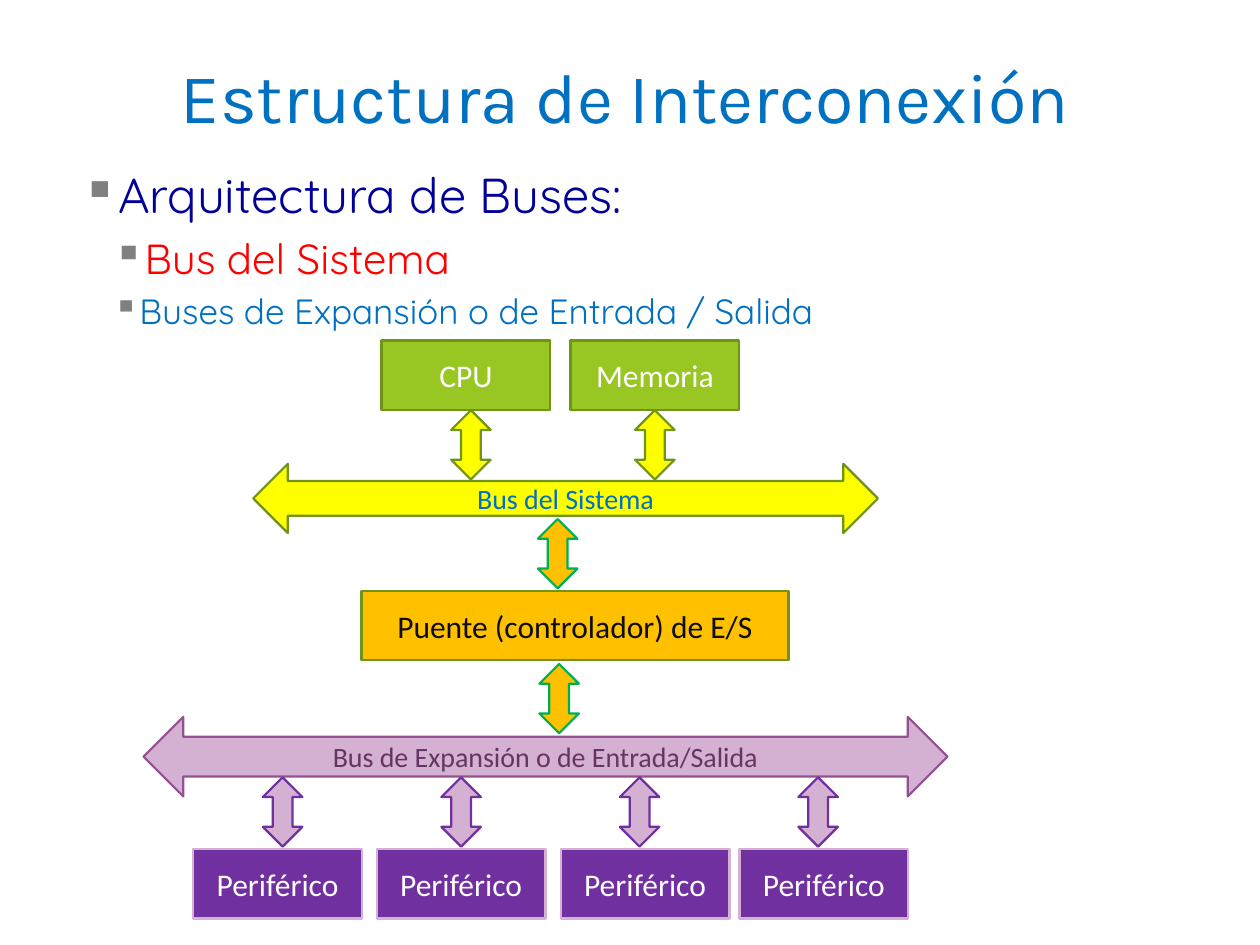
from lxml import etree
from pptx import Presentation
from pptx.dml.color import RGBColor
from pptx.enum.shapes import MSO_SHAPE
from pptx.enum.text import MSO_ANCHOR, PP_ALIGN
from pptx.oxml.ns import qn
from pptx.util import Pt

RECT = MSO_SHAPE.RECTANGLE
BUS = MSO_SHAPE.LEFT_RIGHT_ARROW
LINK = MSO_SHAPE.UP_DOWN_ARROW
CENTER, LEFT = PP_ALIGN.CENTER, PP_ALIGN.LEFT
MIDDLE, TOP = MSO_ANCHOR.MIDDLE, MSO_ANCHOR.TOP

BOX_W, BOX_H = 96.5, 39.6
LINK_W = 22.6
GREEN, DARK_GREEN, YELLOW = "98C723", "70931A", "FFFF00"
ORANGE, LEAF = "FFC000", "00B050"
PURPLE, LILAC, PLUM = "7030A0", "D4B0D2", "945191"
BLUE, WHITE = "0070C0", "FFFFFF"


def rgb(value):
    return RGBColor.from_string(value)


class Deck:
    box_text = {"name": "Calibri", "size": Pt(18)}
    bus_text = {"name": "Calibri", "size": Pt(16)}
    title_text = {"name": "Karla", "size": Pt(40)}
    body_font = "Quicksand"

    def __init__(self, width, height):
        self.prs = Presentation()
        self.prs.slide_width, self.prs.slide_height = Pt(width), Pt(height)
        self.s = self.prs.slides.add_slide(self.prs.slide_layouts[6])

    def add_text(self, p, text, fmt, color, align=CENTER):
        p.alignment = align
        r = p.add_run()
        r.text = text
        for key, value in fmt.items():
            setattr(r.font, key, value)
        r.font.color.rgb = rgb(color)

    def shape(self, kind, x, y, w, h, fill, line):
        sp = self.s.shapes.add_shape(kind, Pt(x), Pt(y), Pt(w), Pt(h))
        sp.shadow.inherit = False
        sp.fill.solid()
        sp.fill.fore_color.rgb = rgb(fill)
        sp.line.color.rgb = rgb(line)
        sp.line.width = Pt(1.25)
        return sp

    def label(self, sp, text, fmt, color):
        tf = sp.text_frame
        tf.vertical_anchor = MIDDLE
        self.add_text(tf.paragraphs[0], text, fmt, color)

    def box(self, text, x, y, fill, line, color, w=BOX_W):
        sp = self.shape(RECT, x, y, w, BOX_H, fill, line)
        self.label(sp, text, self.box_text, color)

    def bus(self, text, x, y, w, h, fill, line, color):
        sp = self.shape(BUS, x, y, w, h, fill, line)
        self.label(sp, text, self.bus_text, color)

    def link(self, x, y, fill, line):
        self.shape(LINK, x, y, LINK_W, BOX_H, fill, line)

    def text_frame(self, x, y, w, h, anchor):
        tf = self.s.shapes.add_textbox(Pt(x), Pt(y), Pt(w), Pt(h)).text_frame
        tf.word_wrap = True
        tf.vertical_anchor = anchor
        return tf

    def title(self, text, x, y, w, h):
        tf = self.text_frame(x, y, w, h, MIDDLE)
        self.add_text(tf.paragraphs[0], text, self.title_text, BLUE)

    def bullets(self, items, x, y, w, h):
        tf = self.text_frame(x, y, w, h, TOP)
        for i, (text, level, size, color) in enumerate(items):
            p = tf.add_paragraph() if i else tf.paragraphs[0]
            fmt = {"name": self.body_font, "size": Pt(size)}
            self.add_text(p, text, fmt, color, LEFT)
            p.level = level
            p.space_before = Pt(size * 0.2)
            pPr = p._p.get_or_add_pPr()
            pPr.set("marL", str(Pt(14.4 + 18 * level)))
            pPr.set("indent", str(-Pt(14.4)))
            clr = etree.SubElement(pPr, qn("a:buClr"))
            etree.SubElement(clr, qn("a:srgbClr"), val="808080")
            etree.SubElement(pPr, qn("a:buChar"), char="▪")


def main():
    deck = Deck(720, 540)
    deck.title("Estructura de Interconexión", 31, 15, 652, 79)
    deck.bullets([
        ("Arquitectura de Buses:", 0, 28, "000099"),
        ("Bus del Sistema", 1, 24, "FF0000"),
        ("Buses de Expansión o de Entrada / Salida", 1, 20, BLUE),
    ], 39.6, 90.7, 647, 116.6)

    for text, x, link_x in (("CPU", 218, 257.8), ("Memoria", 326, 362.9)):
        deck.box(text, x, 194.6, GREEN, DARK_GREEN, WHITE)
        deck.link(link_x, 234.4, YELLOW, DARK_GREEN)
    deck.bus("Bus del Sistema", 144.7, 265, 357, BOX_H,
             YELLOW, DARK_GREEN, BLUE)

    deck.box("Puente (controlador) de E/S", 206.6, 337.7,
             ORANGE, DARK_GREEN, "0D0D0D", w=244)
    deck.bus("Bus de Expansión o de Entrada/Salida", 82, 409.7, 459.4, 45.4,
             LILAC, PLUM, "633661")
    for x, y in ((307.4, 296.6), (308.2, 379.4)):
        deck.link(x, y, ORANGE, LEAF)

    for i, x in enumerate((110.4, 215.3, 320.4, 422.6)):
        deck.box("Periférico", x, 485.3, PURPLE, LILAC, WHITE)
        deck.link(150.2 + 102 * i, 444.2, LILAC, PURPLE)

    deck.prs.save("out.pptx")


if __name__ == "__main__":
    main()
